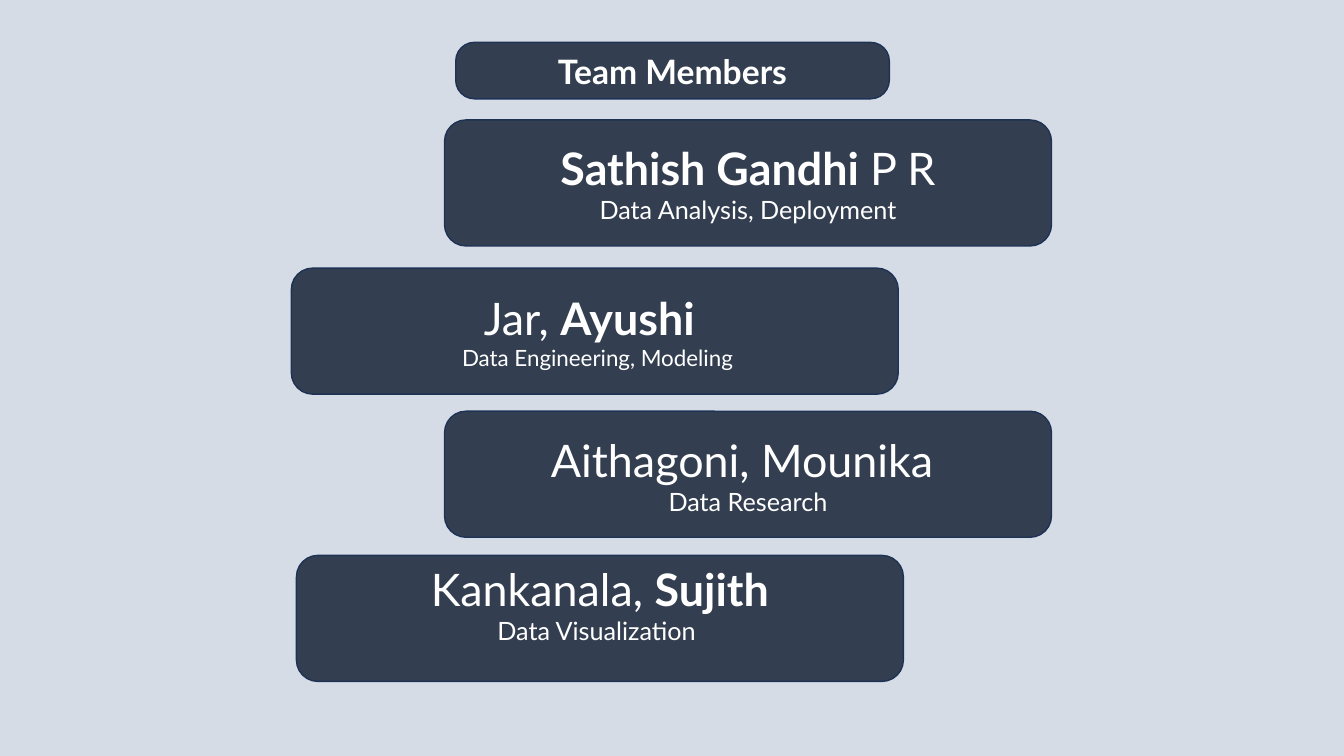
import pptx
import pptx.util
import pptx.dml.color
import pptx.enum.shapes
import pptx.enum.text

COLORS = {"background": "D6DCE5", "card": "333F50", "border": "1E3256", "text": "FFFFFF"}


def rgb(name):
    return pptx.dml.color.RGBColor.from_string(COLORS[name])


class Deck:
    """Holds the style and the current slide; lengths are percent of the slide."""
    font = "Lato"

    def __init__(self, width, height):
        self.prs = pptx.Presentation()
        self.prs.slide_width = pptx.util.Inches(width)
        self.prs.slide_height = pptx.util.Inches(height)

    def slide(self):
        self.s = self.prs.slides.add_slide(self.prs.slide_layouts[6])
        fill = self.s.background.fill
        fill.solid()
        fill.fore_color.rgb = rgb("background")

    def x(self, share):
        return round(self.prs.slide_width * share / 100)

    def y(self, share):
        return round(self.prs.slide_height * share / 100)

    def card(self, left, top, width, height, lines, corner=0.17, bottom=0.05):
        """Rounded card; each line is (size, [(text, bold), ...])."""
        sp = self.s.shapes.add_shape(
            pptx.enum.shapes.MSO_SHAPE.ROUNDED_RECTANGLE,
            self.x(left), self.y(top), self.x(width), self.y(height))
        sp.adjustments[0] = corner
        sp.shadow.inherit = False
        sp.fill.solid()
        sp.fill.fore_color.rgb = rgb("card")
        sp.line.color.rgb = rgb("border")
        sp.line.width = pptx.util.Pt(1)
        tf = sp.text_frame
        tf.word_wrap = True
        tf.vertical_anchor = pptx.enum.text.MSO_ANCHOR.MIDDLE
        tf.margin_bottom = pptx.util.Inches(bottom)
        for i, (size, runs) in enumerate(lines):
            p = tf.add_paragraph() if i else tf.paragraphs[0]
            p.alignment = pptx.enum.text.PP_ALIGN.CENTER
            for text, bold in runs:
                self.run(p, text, size, bold)

    def run(self, p, text, size, bold):
        r = p.add_run()
        r.text = text
        r.font.name = self.font
        r.font.size = pptx.util.Pt(size)
        r.font.bold = bold
        r.font.color.rgb = rgb("text")


# Members: left, top, name runs, role size, role, bottom inset in inches
RIGHT = 33.08
MEMBERS = [
    (RIGHT, 15.87, [("Sathish Gandhi ", True), ("P R", False)],
     18, "Data Analysis, Deployment", 0.05),
    (21.68, 35.47, [("Jar, ", False), ("Ayushi ", True)],
     16, " Data Engineering, Modeling", 0.05),
    (RIGHT, 54.4, [("Aithagoni, Mounika ", False)],
     18, "Data Research", 0.05),
    (22.06, 73.47, [("Kankanala, ", False), ("Sujith", True)],
     18, "Data Visualization ", 0.35),
]


def main():
    deck = Deck(13.33, 7.5)
    deck.slide()

    # Heading
    deck.card(33.91, 5.6, 32.26, 7.47, [(24, [("Team Members", True)])], corner=0.33)

    # Team cards
    for left, top, name, size, role, bottom in MEMBERS:
        deck.card(left, top, 45.16, 16.67,
                  [(32, name), (size, [(role, False)])], bottom=bottom)

    deck.prs.save("out.pptx")


if __name__ == "__main__":
    main()
